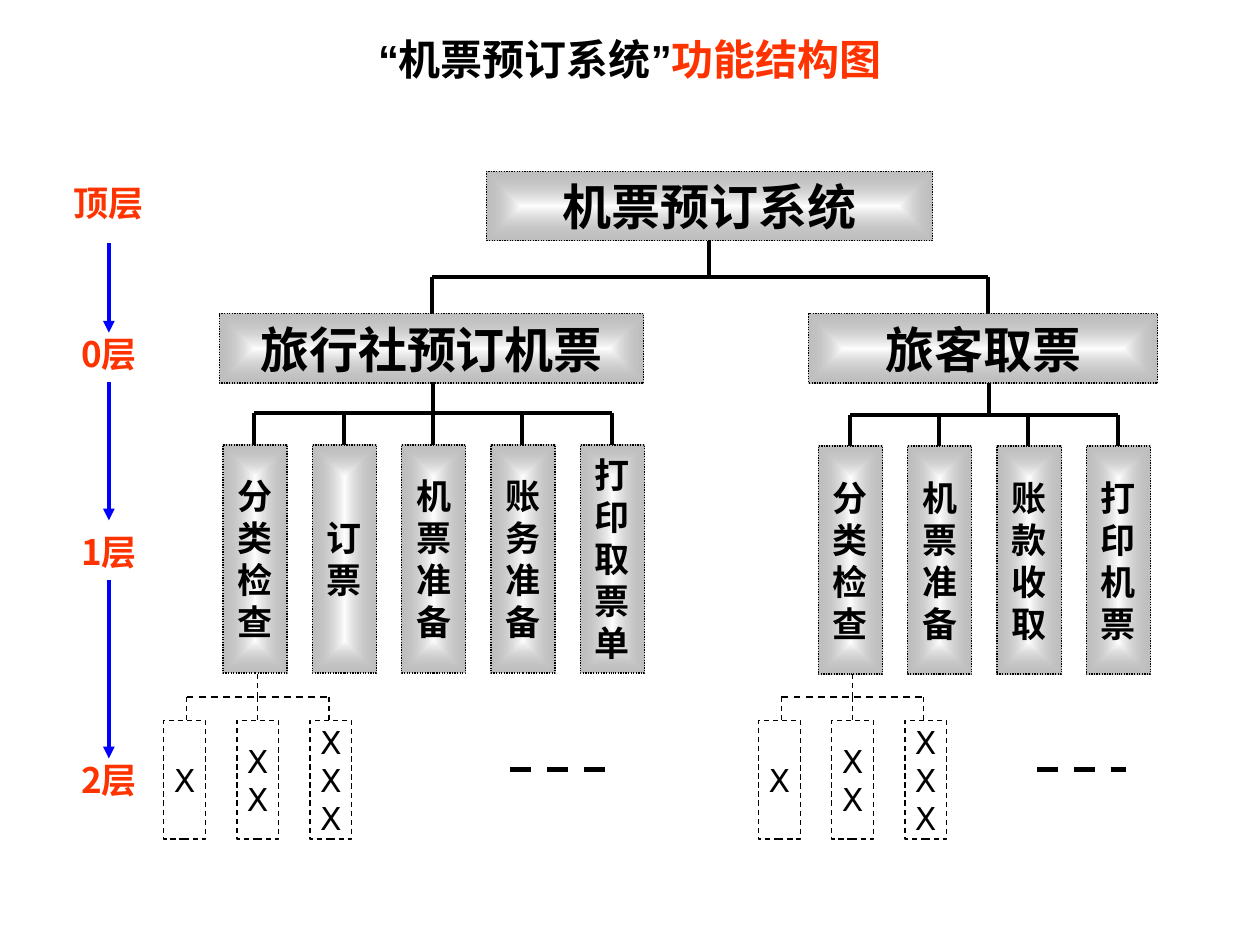
from dataclasses import dataclass

from pptx import Presentation
from pptx.dml.color import RGBColor
from pptx.enum.dml import MSO_LINE as Dash
from pptx.enum.shapes import MSO_CONNECTOR as Link, MSO_SHAPE as Form
from pptx.enum.text import MSO_ANCHOR as Anchor, MSO_AUTO_SIZE as Fit, PP_ALIGN as Align
from pptx.oxml import parse_xml
from pptx.oxml.ns import nsdecls, qn
from pptx.oxml.xmlchemy import OxmlElement as Element
from pptx.util import Pt

BLACK, RED, BLUE = "000000", "FF3300", "0000FF"
SANS, NOTO, ARIAL = "DejaVu Sans", "Noto Sans CJK SC", "Arial"
GLOW = f"""<a:gradFill {nsdecls("a")} rotWithShape="1"><a:gsLst>
<a:gs pos="0"><a:srgbClr val="FFFFFF"/></a:gs>
<a:gs pos="100000"><a:srgbClr val="808080"><a:alpha val="50000"/></a:srgbClr></a:gs>
</a:gsLst><a:path path="shape">
<a:fillToRect l="50000" t="50000" r="50000" b="50000"/></a:path></a:gradFill>"""


@dataclass
class Pen:
    width: float
    color: str = BLACK
    dash: Dash | None = None


@dataclass
class Style:
    size: float
    font: str = SANS
    color: str = BLACK
    bold: bool = True


@dataclass
class Box:
    left: float
    top: float
    width: float
    height: float


@dataclass
class Branch:
    title: str
    head: Box
    left: float
    top: float
    stem: float
    tasks: list[str]
    detail: float
    more: tuple[float, float]


@dataclass
class Level:
    runs: list[tuple[str, str]]
    top: float
    arrow: tuple[float, float] | None = None


SOLID, DOTS = Pen(2.25), Pen(0.75, dash=Dash.ROUND_DOT)
THIN, RAIL, MORE = (Pen(w, dash=Dash.DASH) for w in (0.75, 1, 3))
ARROW = Pen(2.25, BLUE)
HEAD, TASK, MARK = Style(28), Style(20), Style(18, bold=False)

ROOT = Box(278, 97.9, 254.9, 39.6)
BRANCHES = [
    Branch("旅行社预订机票", Box(125.3, 179.3, 242.6, 39.6), 127.4, 254.2, 247.7,
           ["分类检查", "订票", "机票准备", "账务准备", "打印取票单"], 93.6, (291.6, 349.2)),
    Branch("旅客取票", Box(462.2, 179.3, 199.4, 39.6), 467.6, 254.9, 565.2,
           ["分类检查", "机票准备", "账款收取", "打印机票"], 433.5, (592.6, 643.7)),
]
LEVELS = [
    Level([("顶层", SANS)], 103.7, (139, 190.1)),
    Level([("0", NOTO), ("层", SANS)], 190.1, (218.2, 297.4)),
    Level([("1层", NOTO)], 303.1, (331.2, 433.4)),
    Level([("2层", NOTO)], 433.4),
]


def paint(code: str) -> RGBColor:
    return RGBColor.from_string(code)


def stroke(line, pen: Pen) -> None:
    line.color.rgb = paint(pen.color)
    line.width = Pt(pen.width)
    if pen.dash:
        line.dash_style = pen.dash


def style(run, look: Style) -> None:
    font = run.font
    font.size, font.bold, font.name = Pt(look.size), look.bold, look.font
    font.color.rgb = paint(look.color)
    east = Element("a:ea")
    east.set("typeface", look.font)
    run._r.get_or_add_rPr().find(qn("a:latin")).addnext(east)


def rule(shapes, x1: float, y1: float, x2: float, y2: float, pen: Pen, tip: bool = False) -> None:
    link = shapes.add_connector(Link.STRAIGHT, Pt(x1), Pt(y1), Pt(x2), Pt(y2))
    stroke(link.line, pen)
    props = link._element.spPr
    props.append(Element("a:effectLst"))
    if tip:
        end = Element("a:tailEnd")
        end.set("type", "triangle")
        props.find(qn("a:ln")).append(end)


def block(shapes, box: Box, text: str, look: Style, pen: Pen, glow: bool = True) -> None:
    """Draw a framed box with centred text, one paragraph per line."""
    shape = shapes.add_shape(Form.RECTANGLE, Pt(box.left), Pt(box.top), Pt(box.width), Pt(box.height))
    shape.shadow.inherit = False
    shape.fill.background()
    if glow:
        blank = shape._element.spPr.find(qn("a:noFill"))
        blank.getparent().replace(blank, parse_xml(GLOW))
    stroke(shape.line, pen)
    frame = shape.text_frame
    frame.text = text
    frame.word_wrap = False
    frame.vertical_anchor = Anchor.MIDDLE
    for para in frame.paragraphs:
        para.alignment = Align.CENTER
        for run in para.runs:
            style(run, look)


def label(shapes, box: Box, runs: list[tuple[str, Style]]):
    """Add one centred line of mixed runs and return its frame."""
    frame = shapes.add_textbox(Pt(box.left), Pt(box.top), Pt(box.width), Pt(box.height)).text_frame
    para = frame.paragraphs[0]
    para.alignment = Align.CENTER
    for text, look in runs:
        run = para.add_run()
        run.text = text
        style(run, look)
    return frame


def fork(shapes, stem: float, ys: tuple[float, float, float], xs: list[float],
         pen: Pen, rail: Pen) -> None:
    """Join a stem to several feet; ys are its top, rail and foot."""
    top, mid, foot = ys
    rule(shapes, xs[0], mid, xs[-1], mid, rail)
    rule(shapes, stem, top, stem, mid, pen)
    for x in xs:
        rule(shapes, x, mid, x, foot, pen)


def draw_branch(shapes, item: Branch) -> None:
    block(shapes, item.head, item.title, HEAD, DOTS)
    top, step = item.top, 51.05
    for i, name in enumerate(item.tasks):
        box = Box(item.left + step * i, top, 36.7, 130.3)
        block(shapes, box, "\n".join(name), TASK, DOTS)
    feet = [item.left + 18 + step * i for i in range(len(item.tasks))]
    fork(shapes, item.stem, (top - 36, top - 18, top), feet, SOLID, SOLID)

    feet = [item.detail + 13 + 40.7 * i for i in range(3)]
    fork(shapes, feet[1], (385.2, 398.2, 411.8), feet, THIN, RAIL)
    for i in range(3):
        box = Box(item.detail + 41.8 * i, 411.8, 23.8, 67.7)
        block(shapes, box, "\n".join("X" * (i + 1)), MARK, THIN, glow=False)
    start, end = item.more
    rule(shapes, start, 439.9, end, 439.9, MORE)


def draw_level(shapes, item: Level) -> None:
    runs = [(text, Style(20, font, RED)) for text, font in item.runs]
    frame = label(shapes, Box(36.7, item.top, 51.1, 23.8), runs)
    frame.margin_left = frame.margin_right = frame.margin_top = frame.margin_bottom = 0
    frame.word_wrap = True
    frame.auto_size = Fit.SHAPE_TO_FIT_TEXT
    if item.arrow:
        start, end = item.arrow
        rule(shapes, 62.2, start, 62.2, end, ARROW, tip=True)


def main() -> None:
    deck = Presentation()
    deck.slide_width, deck.slide_height = Pt(720), Pt(540)
    shapes = deck.slides.add_slide(deck.slide_layouts[6]).shapes
    title = label(shapes, Box(190.1, 19.4, 339.8, 28.1), [
        ("“", Style(24, ARIAL)), ("机票预订系统", Style(24)),
        ("”", Style(24, ARIAL)), ("功能结构图", Style(24, color=RED))])
    title.word_wrap = False
    title.vertical_anchor = Anchor.MIDDLE
    block(shapes, ROOT, "机票预订系统", HEAD, DOTS)
    fork(shapes, 405.4, (137.5, 158.4, 179.3), [247, 564.5], SOLID, SOLID)
    for item in BRANCHES:
        draw_branch(shapes, item)
    for item in LEVELS:
        draw_level(shapes, item)
    deck.save("out.pptx")


if __name__ == "__main__":
    main()
